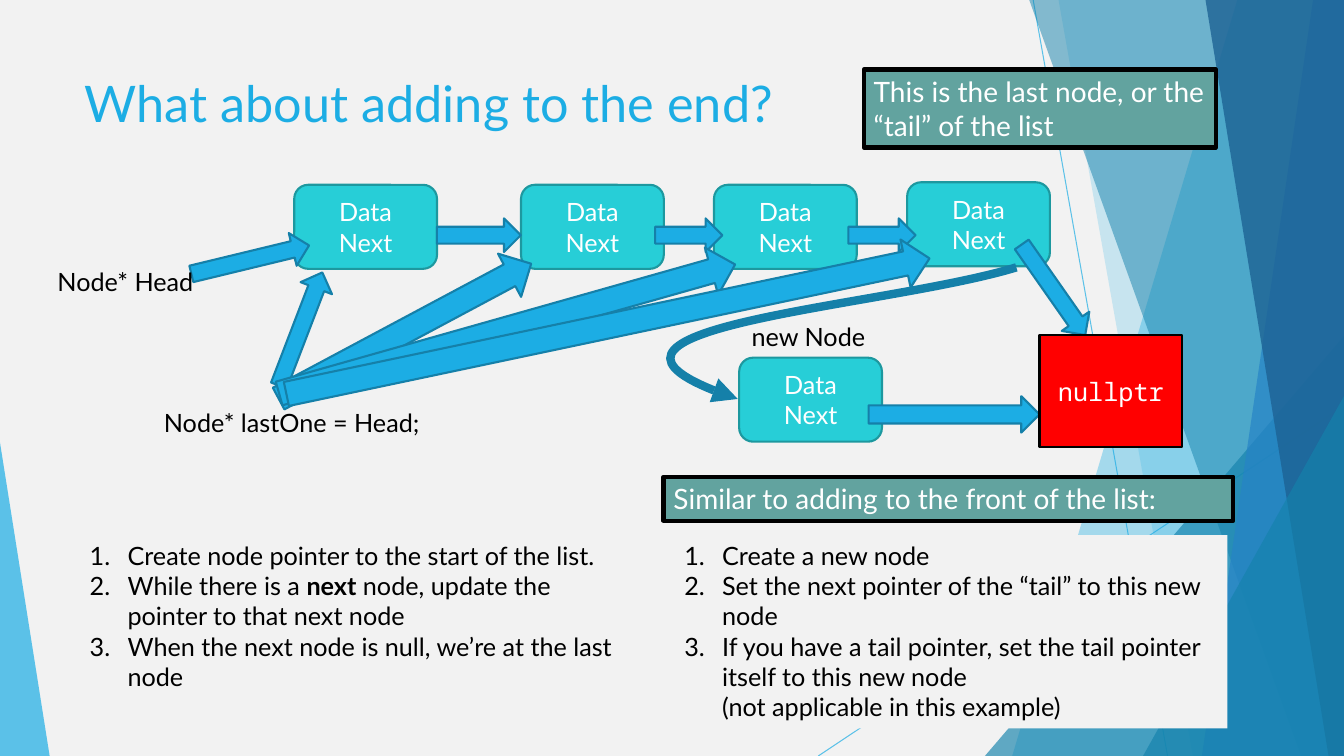
"""Slide on adding a node to the end of a linked list."""
from lxml import etree
from pptx import Presentation
from pptx import util as u
from pptx.dml.color import RGBColor
from pptx.enum import shapes, text
from pptx.oxml.ns import qn

C = {"paper": "F2F2F2", "sky": "1CADE4", "ocean": "1482AC", "blue": "2683C6", "navy": "1D6294",
     "teal": "27CED7", "teal_edge": "1D989F", "arrow_edge": "1580A9", "sage": "62A39F",
     "red": "FF0000", "black": "000000", "white": "FFFFFF"}
MSO, ALIGN = shapes.MSO_SHAPE, text.PP_ALIGN

prs = Presentation()
prs.slide_width, prs.slide_height = u.Pt(960), u.Pt(540)
s = prs.slides.add_slide(prs.slide_layouts[6])
s.background.fill.solid()
s.background.fill.fore_color.rgb = RGBColor.from_string(C["paper"])


def style(sp, fill=None, line=None, width=1.5, alpha=100):
    """Set fill, outline and opacity of a shape."""
    sp.shadow.inherit = False
    for ink, name in ((sp.fill, fill), (sp.line.fill, line)):
        if name:
            ink.solid()
            ink.fore_color.rgb = RGBColor.from_string(C[name])
        else:
            ink.background()
    if line:
        sp.line.width = u.Pt(width)
    if alpha < 100:
        color = next(sp.element.iter(qn("a:srgbClr")))
        etree.SubElement(color, qn("a:alpha"), val=str(alpha * 1000))


def write(sp, paragraphs, size=18, color="black", align=ALIGN.LEFT,
          anchor=text.MSO_ANCHOR.TOP, font="Lato", numbered=False):
    """Fill a shape with paragraphs; every second run is bold."""
    tf = sp.text_frame
    tf.word_wrap, tf.vertical_anchor = True, anchor
    for i, runs in enumerate(paragraphs):
        p = tf.add_paragraph() if i else tf.paragraphs[0]
        p.alignment = align
        if numbered:
            pPr = p._p.get_or_add_pPr()
            pPr.set("marL", str(u.Pt(27)))
            pPr.set("indent", str(u.Pt(-27)))
            etree.SubElement(pPr, qn("a:buFont"), typeface="+mj-lt")
            etree.SubElement(pPr, qn("a:buAutoNum"), type="arabicPeriod")
        for j, run in enumerate(runs):
            for k, line in enumerate(run.split("\n")):
                if k:
                    p.add_line_break()
                r = p.add_run()
                r.text = line
                r.font.name, r.font.size, r.font.bold = font, u.Pt(size), j % 2 == 1
                r.font.color.rgb = RGBColor.from_string(C[color])


for ends in ((738, 0, 834, 540), (960, 290, 584.5, 540)):
    ray = s.shapes.add_connector(shapes.MSO_CONNECTOR.STRAIGHT, *map(u.Pt, ends))
    ray.line.width = u.Pt(0.75)
    ray.line.color.rgb = RGBColor.from_string(C["sky"])
    etree.SubElement(next(ray.element.iter(qn("a:srgbClr"))), qn("a:alpha"), val="70000")
    etree.SubElement(ray.element.spPr, qn("a:effectLst"))

facets = [
    (884, 723, "sky", 36), (756, 852, "sky", 20), ((703.5, 240, 256.5, 300), 1, "ocean", 66),
    (735, 929.5, "ocean", 50), (938, 858.5, "blue", 70), (861, 949, "navy", 80),
    ((816.5, 283, 143.5, 257), 1, "ocean", 66), ((0, 316, 35.5, 224), 0, "sky", 70),
]
for place, shift, fill, alpha in facets:
    if isinstance(place, tuple):
        facet = s.shapes.add_shape(MSO.ISOSCELES_TRIANGLE, *map(u.Pt, place))
        facet.adjustments[0] = shift
    else:
        outline = s.shapes.build_freeform(u.Pt(place), u.Pt(-0.6))
        corners = [(960, -0.6), (960, 540), (shift, 540)]
        outline.add_line_segments([(u.Pt(x), u.Pt(y)) for x, y in corners])
        facet = outline.convert_to_shape()
    style(facet, fill, alpha=alpha)

for x, y in ((210.2, 132), (372.2, 132), (510, 132), (648, 130.2), (528, 255.5)):
    node = s.shapes.add_shape(MSO.ROUNDED_RECTANGLE, *map(u.Pt, (x, y, 102, 60)))
    style(node, "teal", "teal_edge")
    write(node, [["Data"], ["Next"]], color="white", align=ALIGN.CENTER,
          anchor=text.MSO_ANCHOR.MIDDLE)

arrows = [
    (312, 156, 60, 24, 0), (468, 156, 48, 24, 0), (606, 156, 48, 24, 0),
    (713, 195, 79, 24, 55), (135.5, 173.5, 86.5, 24, 346.4), (171.5, 223, 86.5, 24, 291),
    (187, 219, 204.5, 35, 331.9), (193, 217.5, 338.5, 35, 344.2),
    (199.5, 215.5, 469.5, 35, 348.1), (620.5, 283, 122, 26, 0),
]
for *box, angle in arrows:
    arrow = s.shapes.add_shape(MSO.RIGHT_ARROW, *map(u.Pt, box))
    arrow.rotation = angle
    style(arrow, "sky", "arrow_edge")

null = s.shapes.add_shape(MSO.RECTANGLE, *map(u.Pt, (742.5, 239.5, 102, 80)))
style(null, "red", "black")
write(null, [["nullptr"]], color="white", align=ALIGN.CENTER,
      anchor=text.MSO_ANCHOR.MIDDLE, font="Noto Sans Mono")

labels = [
    ((53.5, 48, 677, 64), "What about adding to the end?", 36, "sky", ALIGN.LEFT),
    ((34, 186.5, 130, 29), "Node* Head", 18, "black", ALIGN.LEFT),
    ((110, 287.5, 199.5, 29), "Node* lastOne = Head;", 18, "black", ALIGN.LEFT),
    ((520.5, 226, 114, 29), "new Node", 18, "black", ALIGN.CENTER),
]
for box, words, size, color, align in labels:
    write(s.shapes.add_textbox(*map(u.Pt, box)), [[words]], size, color, align)

callouts = [
    ((617, 49.7, 251.5, 55.7), "This is the last node, or the “tail” of the list"),
    ((474, 340.5, 407, 31.5), "Similar to adding to the front of the list:"),
]
for box, words in callouts:
    callout = s.shapes.add_shape(MSO.RECTANGLE, *map(u.Pt, box))
    style(callout, "sage", "black", 3)
    write(callout, [[words]], 20, "white")

find_steps = s.shapes.add_textbox(*map(u.Pt, (57, 382.3, 395, 116.6)))
write(find_steps, [
    ["Create node pointer to the start of the list."],
    ["While there is a ", "next", " node, update the pointer to that next node"],
    ["When the next node is null, we’re at the last node"],
], numbered=True)

add_steps = s.shapes.add_shape(MSO.RECTANGLE, *map(u.Pt, (481.7, 382.3, 395, 138)))
style(add_steps, "paper")
write(add_steps, [
    ["Create a new node"],
    ["Set the next pointer of the “tail” to this new node"],
    ["If you have a tail pointer, set the tail pointer itself to this new node\n"
     "(not applicable in this example)"],
], numbered=True)

left, top = 479.5, 191
outline = s.shapes.build_freeform(u.Pt(726), u.Pt(top))
outline.add_line_segments([(u.Pt(left), u.Pt(255)), (u.Pt(527), u.Pt(285))], close=False)
link = outline.convert_to_shape()
style(link, line="arrow_edge", width=6)
route = next(link.element.iter(qn("a:path")))
for segment in route.findall(qn("a:lnTo")):
    route.remove(segment)
curve = etree.SubElement(route, qn("a:cubicBezTo"))
for x, y in ((632, 219.6), (373, 234), (527, 285)):
    etree.SubElement(curve, qn("a:pt"), x=str(u.Pt(x - left)), y=str(u.Pt(y - top)))
etree.SubElement(link.element.spPr.find(qn("a:ln")), qn("a:tailEnd"), type="triangle")

prs.save("out.pptx")
